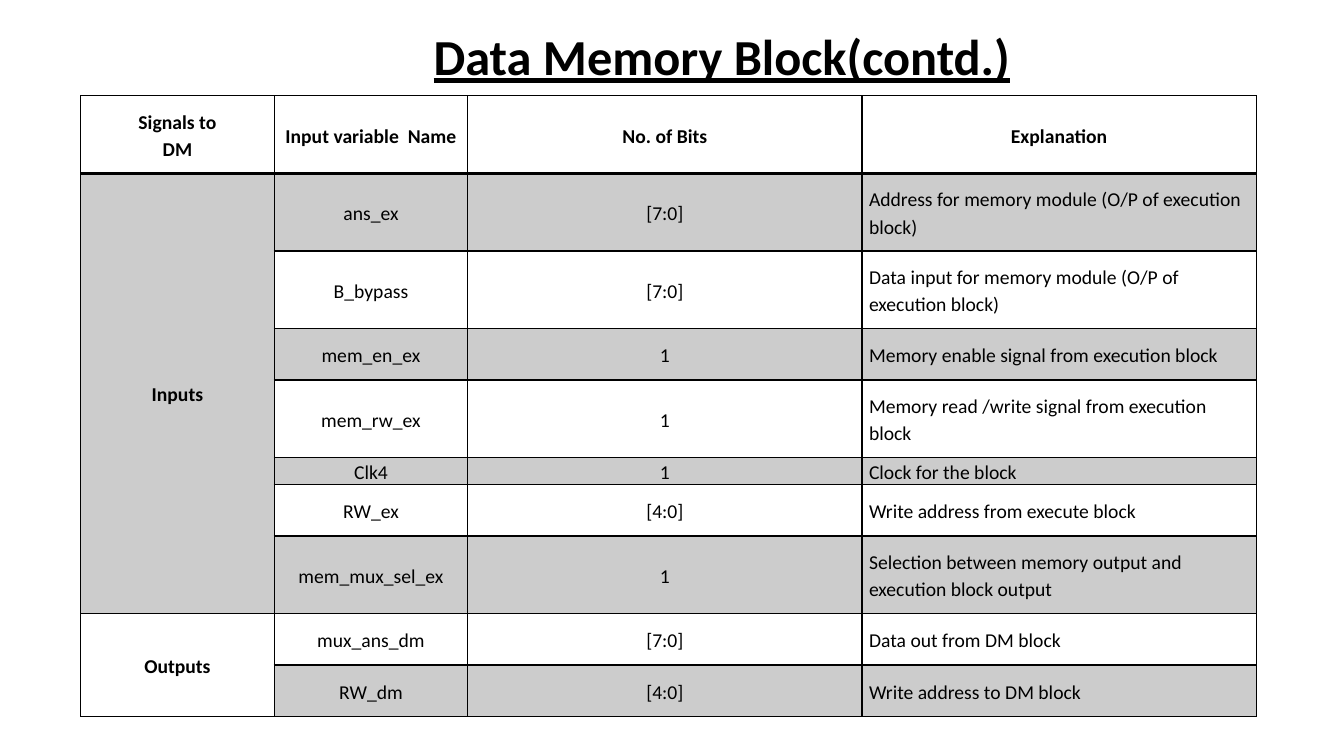
from dataclasses import dataclass

from lxml import etree
from pptx import Presentation
from pptx import util as u
from pptx.dml.color import RGBColor
from pptx.enum import text
from pptx.oxml import ns


@dataclass(frozen=True)
class Theme:
    font: str = "Calibri"
    ink: str = "000000"
    shade: str = "CCCCCC"
    title_size: int = 36
    cell_size: int = 14
    line: int = 1
    header_line: int = 2


THEME = Theme()
COLUMNS = [1.92, 1.92, 3.91, 3.91]
HEADER = ["Signals to\nDM", "Input variable  Name", "No. of Bits", "Explanation"]
HEADER_HEIGHT = 0.77
SIGNALS = {
    "Inputs": [
        (0.77, "ans_ex", "[7:0]", "Address for memory module (O/P of execution block)"),
        (0.77, "B_bypass", "[7:0]", "Data input for memory module (O/P of execution block)"),
        (0.51, "mem_en_ex", "1", "Memory enable signal from execution block"),
        (0.77, "mem_rw_ex", "1", "Memory read /write signal from execution block"),
        (0.25, "Clk4", "1", "Clock for the block"),
        (0.51, "RW_ex", "[4:0]", "Write address from execute block"),
        (0.77, "mem_mux_sel_ex", "1", "Selection between memory output and execution block output"),
    ],
    "Outputs": [
        (0.51, "mux_ans_dm", "[7:0]", "Data out from DM block"),
        (0.51, "RW_dm", "[4:0]", "Write address to DM block"),
    ],
}


def write(tf, content, *, size, bold=False, underline=False,
          align=text.PP_ALIGN.LEFT, spacing=None):
    tf.word_wrap = True
    for i, line in enumerate(content.split("\n")):
        p = tf.add_paragraph() if i else tf.paragraphs[0]
        p.alignment = align
        p.line_spacing = spacing
        r = p.add_run()
        r.text = line
        r.font.name = THEME.font
        r.font.size = u.Pt(size)
        r.font.bold = bold
        r.font.underline = underline
        r.font.color.rgb = RGBColor.from_string(THEME.ink)


def add_title(s, content):
    sp = s.shapes.add_textbox(u.Inches(1.2), u.Inches(0.2), u.Inches(11.28), u.Inches(0.71))
    tf = sp.text_frame
    tf.margin_left = u.Inches(3.1)
    write(tf, content, size=THEME.title_size, bold=True, underline=True)
    tf.auto_size = text.MSO_AUTO_SIZE.SHAPE_TO_FIT_TEXT


def set_borders(cell, bottom):
    tc_pr = cell._tc.get_or_add_tcPr()
    widths = {"lnL": THEME.line, "lnR": THEME.line, "lnT": THEME.line, "lnB": bottom}
    for i, (side, width) in enumerate(widths.items()):
        ln = etree.Element(ns.qn(f"a:{side}"), w=str(u.Pt(width)))
        fill = etree.SubElement(ln, ns.qn("a:solidFill"))
        etree.SubElement(fill, ns.qn("a:srgbClr"), val=THEME.ink)
        tc_pr.insert(i, ln)


def style_cell(cell, shaded, bottom):
    cell.vertical_anchor = text.MSO_ANCHOR.MIDDLE
    cell.margin_left = cell.margin_right = u.Inches(0.07)
    cell.margin_top = cell.margin_bottom = 0
    if shaded:
        cell.fill.solid()
        cell.fill.fore_color.rgb = RGBColor.from_string(THEME.shade)
    else:
        cell.fill.background()
    set_borders(cell, bottom)


def fill_cell(cell, content, bold=False, align=text.PP_ALIGN.CENTER):
    write(cell.text_frame, content, size=THEME.cell_size, bold=bold, align=align, spacing=1.15)


def add_signal_table(s):
    signals = [signal for group in SIGNALS.values() for signal in group]
    heights = [HEADER_HEIGHT] + [signal[0] for signal in signals]
    table = s.shapes.add_table(
        len(heights), len(COLUMNS), u.Inches(0.8), u.Inches(0.95),
        u.Inches(sum(COLUMNS)), u.Inches(sum(heights))).table
    table.first_row = table.horz_banding = False
    for column, width in zip(table.columns, COLUMNS):
        column.width = u.Inches(width)
    for i, (row, height) in enumerate(zip(table.rows, heights)):
        row.height = u.Inches(height)
        for cell in row.cells:
            style_cell(cell, shaded=i % 2 == 1, bottom=THEME.line if i else THEME.header_line)

    for cell, label in zip(table.rows[0].cells, HEADER):
        fill_cell(cell, label, bold=True)
    for i, (_, name, bits, explanation) in enumerate(signals, start=1):
        fill_cell(table.cell(i, 1), name)
        fill_cell(table.cell(i, 2), bits)
        fill_cell(table.cell(i, 3), explanation, align=text.PP_ALIGN.LEFT)

    first = 1
    for label, group in SIGNALS.items():
        cell = table.cell(first, 0)
        cell.merge(table.cell(first + len(group) - 1, 0))
        fill_cell(cell, label, bold=True)
        first += len(group)


def main():
    prs = Presentation()
    prs.slide_width, prs.slide_height = u.Inches(13.33), u.Inches(7.5)
    s = prs.slides.add_slide(prs.slide_layouts[6])
    add_title(s, "Data Memory Block(contd.)")
    add_signal_table(s)
    prs.save("out.pptx")


if __name__ == "__main__":
    main()
